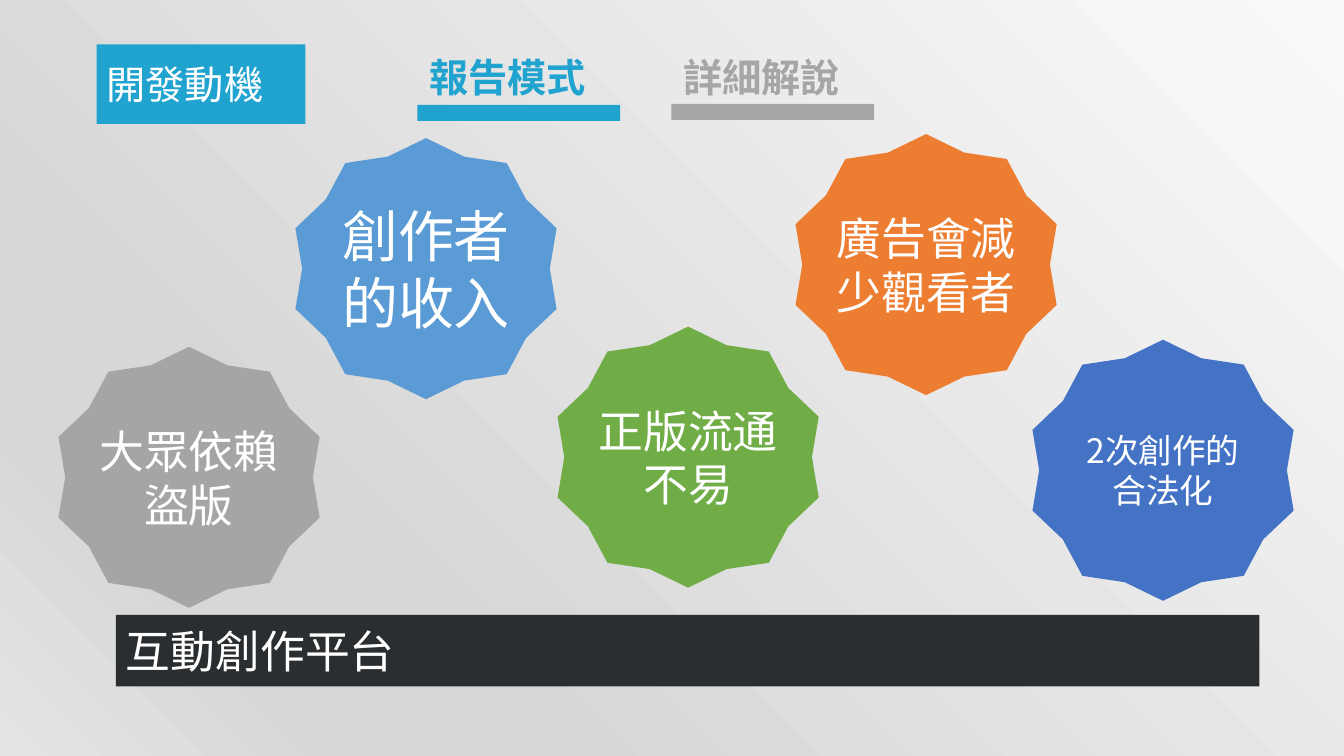
from lxml.etree import SubElement
from pptx import Presentation
from pptx.dml.color import RGBColor
from pptx.enum.shapes import MSO_SHAPE as SHAPE
from pptx.enum.text import MSO_ANCHOR as ANCHOR, MSO_AUTO_SIZE as AUTO, PP_ALIGN as ALIGN
from pptx.oxml.ns import qn
from pptx.util import Inches, Pt

FONT = "Noto Sans CJK SC"
WHITE, BLUE, GRAY, DARK = "FFFFFF", "21A3D0", "A6A6A6", "2B2E30"
BACKGROUND = [(0, "FAFAFA"), (74, "D7D7D7"), (83, "D7D7D7"), (100, "E4E4E4")]
STAR_SIZE = 2.59
STARS = [
    ("創作者的收入", 2.93, 1.37, 40, "5B9BD5"),
    ("廣告會減少觀看者", 7.89, 1.33, 32, "ED7D31"),
    ("大眾依賴盜版", 0.58, 3.44, 32, "A5A5A5"),
    ("正版流通不易", 5.53, 3.24, 32, "70AD47"),
    ("2次創作的合法化", 10.24, 3.37, 24, "4472C4"),
]
BANNERS = [
    ("互動創作平台", (1.15, 6.1, 11.34, 0.71), 32, DARK),
    ("開發動機", (0.96, 0.44, 2.07, 0.79), 28, BLUE),
]
TABS = [("詳細解說", 6.66, 1.03, GRAY), ("報告模式", 4.14, 1.04, BLUE)]


def rgb(value):
    return RGBColor.from_string(value)


def set_background(s, stops, angle):
    fill = s.background.fill
    fill.gradient()
    fill.gradient_angle = 360 - angle
    gs_list = next(s.element.iter(qn("a:gsLst")))
    gs_list.clear()
    for pos, color in stops:
        gs = SubElement(gs_list, qn("a:gs"), pos=str(pos * 1000))
        SubElement(gs, qn("a:srgbClr"), val=color)


def add_block(shapes, kind, box, color):
    sp = shapes.add_shape(kind, *map(Inches, box))
    sp.shadow.inherit = False
    sp.fill.solid()
    sp.fill.fore_color.rgb = rgb(color)
    sp.line.fill.background()
    return sp


def set_text(sp, text, size, color, align, anchor=ANCHOR.MIDDLE, bold=False):
    tf = sp.text_frame
    tf.text = text
    tf.word_wrap = True
    tf.vertical_anchor = anchor
    p = tf.paragraphs[0]
    p.alignment = align
    for r in p.runs:
        r.font.size = Pt(size)
        r.font.bold = bold
        r.font.color.rgb = rgb(color)
        r.font.name = FONT
        SubElement(r.font._element, qn("a:ea"), typeface=FONT)


def main():
    prs = Presentation()
    prs.slide_width, prs.slide_height = Inches(13.33), Inches(7.5)
    s = prs.slides.add_slide(prs.slide_layouts[6])
    set_background(s, BACKGROUND, 135)

    for text, left, top, size, color in STARS:
        sp = add_block(s.shapes, SHAPE.STAR_10_POINT, (left, top, STAR_SIZE, STAR_SIZE), color)
        sp.adjustments[0] = 0.451
        set_text(sp, text, size, WHITE, ALIGN.CENTER)

    for text, box, size, color in BANNERS:
        sp = add_block(s.shapes, SHAPE.RECTANGLE, box, color)
        set_text(sp, text, size, WHITE, ALIGN.JUSTIFY)

    for text, left, bar_top, color in TABS:
        tab = s.shapes.add_group_shape()
        add_block(tab.shapes, SHAPE.RECTANGLE, (left, bar_top, 2.01, 0.16), color)
        label = tab.shapes.add_textbox(*map(Inches, (left + 0.02, 0.48, 1.97, 0.57)))
        set_text(label, text, 28, color, ALIGN.JUSTIFY, ANCHOR.TOP, True)
        label.text_frame.auto_size = AUTO.SHAPE_TO_FIT_TEXT

    prs.save("out.pptx")


if __name__ == "__main__":
    main()
